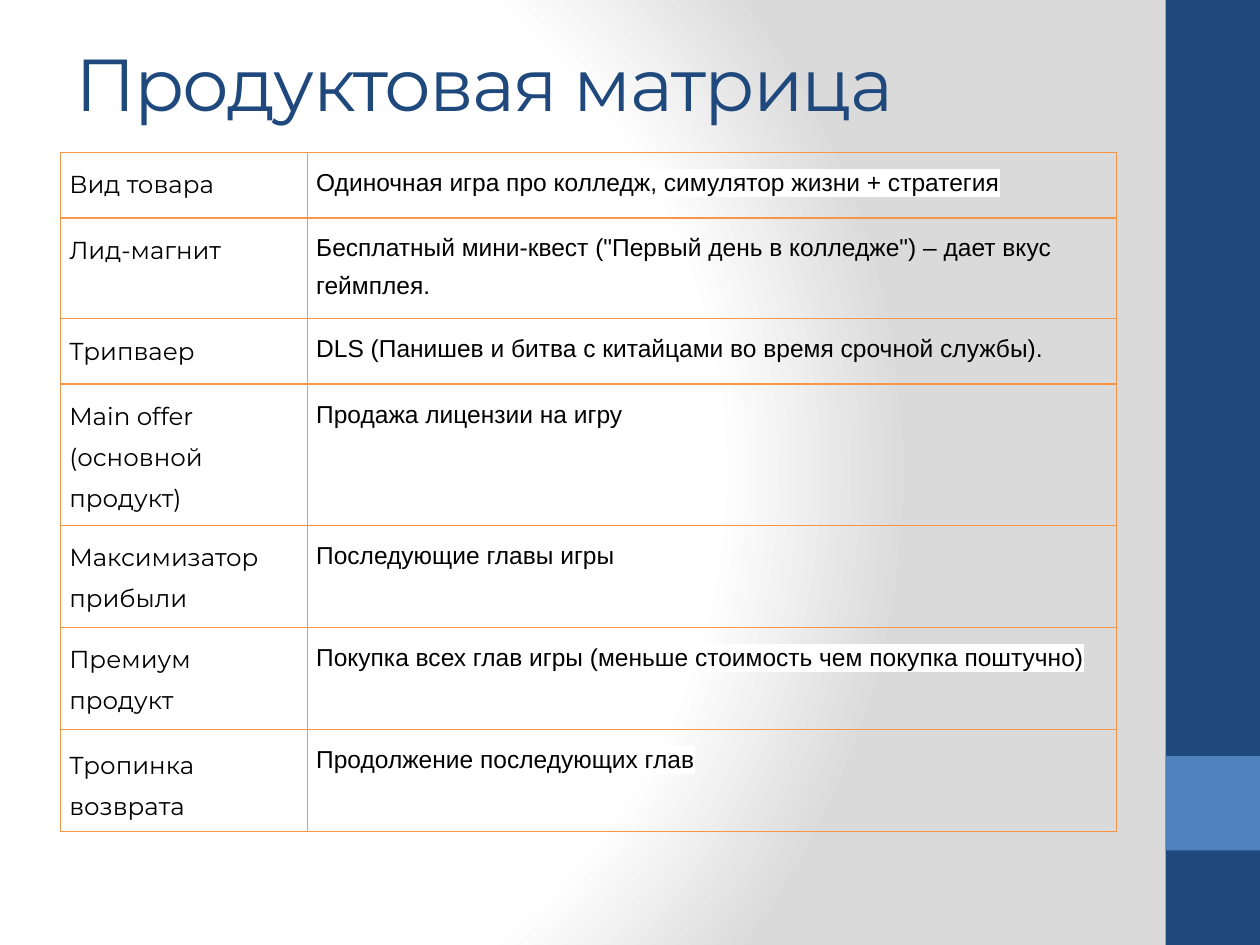
from typing import NamedTuple

from lxml.etree import SubElement
from pptx import Presentation
from pptx.dml.color import RGBColor
from pptx.enum.shapes import MSO_SHAPE
from pptx.enum.text import MSO_ANCHOR
from pptx.oxml import parse_xml
from pptx.oxml.ns import nsdecls, qn
from pptx.util import Inches, Pt

NAVY = RGBColor(0x1F, 0x49, 0x7D)
BLUE = RGBColor(0x4F, 0x81, 0xBD)
ORANGE = RGBColor(0xF7, 0x96, 0x46)
BLACK = RGBColor(0, 0, 0)
WHITE = RGBColor(0xFF, 0xFF, 0xFF)
GREY = RGBColor(0xDA, 0xDA, 0xDA)

UNIT = 0.75  # the side band is one unit wide and ten units high
COLUMN_WIDTHS = (1.96, 6.42)


class Band(NamedTuple):
    first_row: int
    row_count: int
    color: RGBColor


class Product(NamedTuple):
    kind: str
    offer: str
    height: float
    highlighted: bool = True
    anchor: MSO_ANCHOR = MSO_ANCHOR.TOP


BANDS = (Band(0, 10, NAVY), Band(8, 1, BLUE))

PRODUCTS = (
    Product("Вид товара", "Одиночная игра про колледж, симулятор жизни + стратегия", 0.52),
    Product("Лид-магнит",
            'Бесплатный мини-квест ("Первый день в колледже") – дает вкус геймплея.',
            0.8, highlighted=False),
    Product("Трипваер", "DLS (Панишев и битва с китайцами во время срочной службы).",
            0.52, highlighted=False),
    Product("Main offer (основной продукт)", "Продажа лицензии на игру", 1.12),
    Product("Максимизатор прибыли", "Последующие главы игры", 0.81),
    Product("Премиум продукт",
            "Покупка всех глав игры (меньше стоимость чем покупка поштучно)", 0.81),
    Product("Тропинка возврата", "Продолжение последующих глав", 0.81,
            anchor=MSO_ANCHOR.MIDDLE),
)


def set_background(slide) -> None:
    stops = "".join(f'<a:gs pos="{share * 1000}"><a:srgbClr val="{color}"/></a:gs>'
                    for share, color in ((0, WHITE), (75, WHITE), (100, GREY)))
    background = parse_xml(
        f'<p:bg {nsdecls("p", "a")}><p:bgPr><a:gradFill rotWithShape="1">'
        f'<a:gsLst>{stops}</a:gsLst><a:path path="circle">'
        '<a:fillToRect l="10000" t="50000" r="90000" b="50000"/></a:path>'
        '</a:gradFill><a:effectLst/></p:bgPr></p:bg>')
    slide.element.cSld.insert(0, background)


def add_band(slide, band: Band, left: float) -> None:
    shape = slide.shapes.add_shape(
        MSO_SHAPE.RECTANGLE, Inches(left), Inches(band.first_row * UNIT),
        Inches(UNIT), Inches(band.row_count * UNIT))
    shape.shadow.inherit = False
    shape.fill.solid()
    shape.fill.fore_color.rgb = band.color
    shape.line.fill.background()


def write(text_frame, text: str, font_name: str, size: float, color: RGBColor,
          line_spacing: float):
    paragraph = text_frame.paragraphs[0]
    run = paragraph.add_run()
    run.text = text
    paragraph.line_spacing = line_spacing
    paragraph.font.name = font_name
    paragraph.font.size = Pt(size)
    paragraph.font.color.rgb = color
    return run


def add_title(slide, text: str) -> None:
    box = slide.shapes.add_textbox(Inches(0.5), Inches(0.3), Inches(8.16), Inches(0.79))
    box.text_frame.word_wrap = True
    box.text_frame.vertical_anchor = MSO_ANCHOR.MIDDLE
    run = write(box.text_frame, text, "Montserrat", 42, NAVY, 0.9)
    run.font._element.set("spc", "-100")


def highlight(run) -> None:
    mark = SubElement(run.font._element, qn("a:highlight"))
    SubElement(mark, qn("a:srgbClr"), val=str(WHITE))


def set_borders(cell) -> None:
    properties = cell._tc.get_or_add_tcPr()
    for position, side in enumerate(("a:lnL", "a:lnR", "a:lnT", "a:lnB")):
        line = parse_xml(
            f'<{side} {nsdecls("a")} w="{Pt(0.96)}"><a:solidFill>'
            f'<a:srgbClr val="{ORANGE}"/></a:solidFill></{side}>')
        properties.insert(position, line)


def fill_cell(cell, text: str, font_name: str, highlighted: bool,
              anchor: MSO_ANCHOR) -> None:
    cell.fill.background()
    cell.margin_left = cell.margin_right = Inches(0.07)
    cell.margin_top = cell.margin_bottom = Inches(0.05)
    cell.vertical_anchor = anchor
    set_borders(cell)
    run = write(cell.text_frame, text, font_name, 14, BLACK, 1.38)
    if highlighted:
        highlight(run)


def add_matrix(slide) -> None:
    table = slide.shapes.add_table(
        len(PRODUCTS), len(COLUMN_WIDTHS), Inches(0.48), Inches(1.21),
        Inches(sum(COLUMN_WIDTHS)),
        Inches(sum(product.height for product in PRODUCTS))).table
    table.first_row = table.horz_banding = False
    for column, width in zip(table.columns, COLUMN_WIDTHS):
        column.width = Inches(width)
    for row, product in zip(table.rows, PRODUCTS):
        row.height = Inches(product.height)
        fill_cell(row.cells[0], product.kind, "Montserrat", True, product.anchor)
        fill_cell(row.cells[1], product.offer, "Arial", product.highlighted,
                  MSO_ANCHOR.TOP)


def main() -> None:
    presentation = Presentation()
    presentation.slide_width, presentation.slide_height = Inches(10), Inches(7.5)
    slide = presentation.slides.add_slide(presentation.slide_layouts[6])

    # Backdrop and side band
    set_background(slide)
    for band in BANDS:
        add_band(slide, band, 10 - UNIT)

    # Title and product table
    add_title(slide, "Продуктовая матрица")
    add_matrix(slide)
    presentation.save("out.pptx")


if __name__ == "__main__":
    main()
